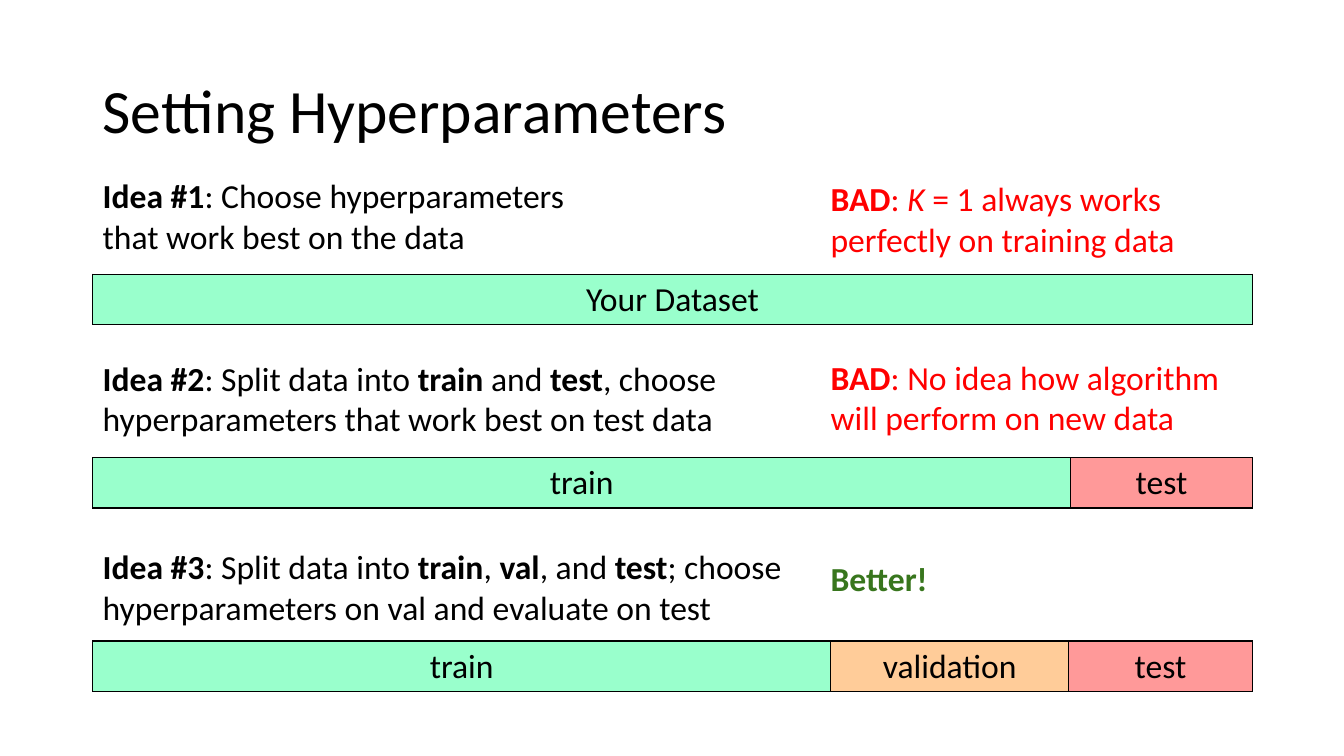
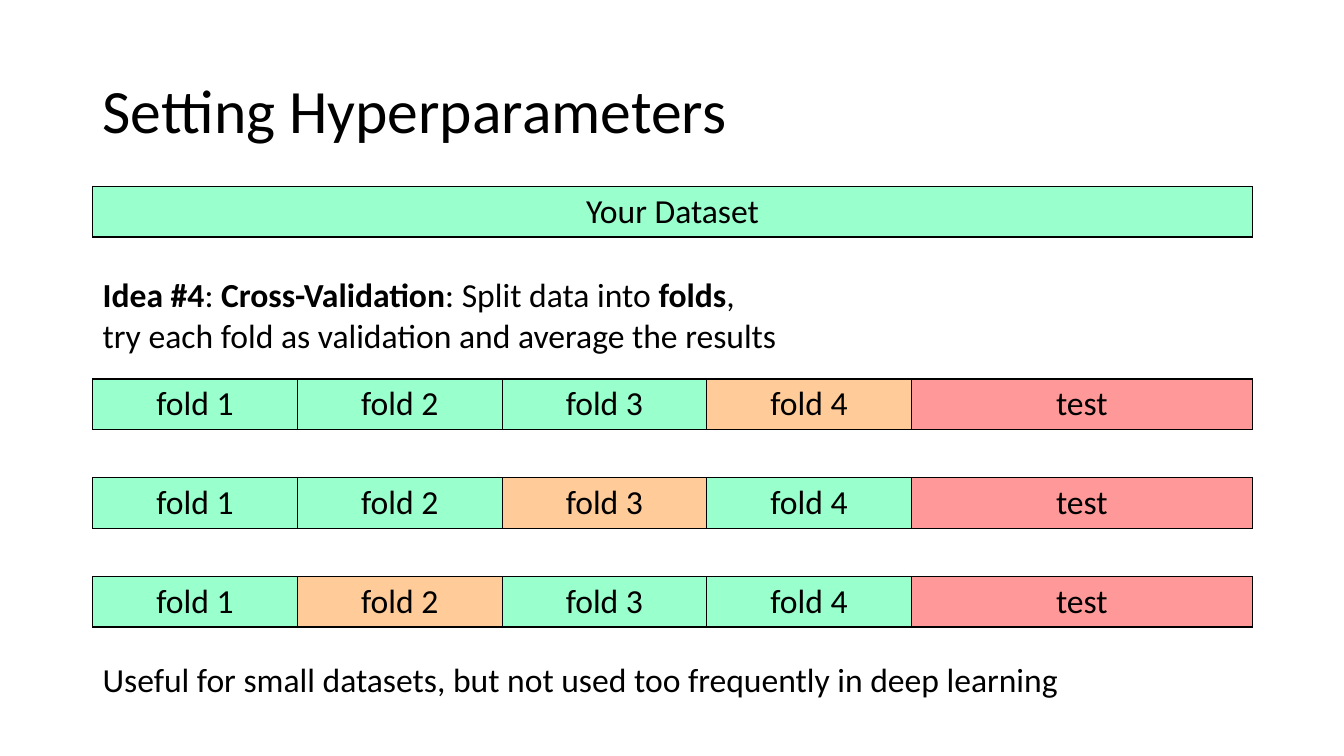
import dataclasses

import lxml.etree
import pptx
import pptx.dml.color
import pptx.enum.text
import pptx.oxml.ns
import pptx.util

Inches = pptx.util.Inches


@dataclasses.dataclass(frozen=True)
class Theme:
    font: str = "Calibri"
    title_size: int = 44
    body_size: int = 24
    ink: str = "000000"
    bad: str = "FF0000"
    good: str = "38761D"
    train: str = "99FFCC"
    validation: str = "FFCC99"
    test: str = "FF9999"
    border_width: int = 1


THEME = Theme()
LEFT, CONTENT_WIDTH = 0.92, 11.5
VERDICT_LEFT, VERDICT_WIDTH = 8.14, 4.06
BAR_HEIGHT = 0.5
FOLD_COUNT, FOLD_WIDTH = 4, 2.03
TITLE = "Setting Hyperparameters"


def rgb(value):
    return pptx.dml.color.RGBColor.from_string(value)


# Text: *stars* mark bold, _underscores_ mark italic, a newline starts a paragraph
def write_text(frame, text, size=THEME.body_size, color=THEME.ink,
               align=pptx.enum.text.PP_ALIGN.LEFT, line_spacing=None):
    for line_number, line in enumerate(text.split("\n")):
        paragraph = frame.paragraphs[0] if line_number == 0 else frame.add_paragraph()
        paragraph.alignment = align
        paragraph.line_spacing = line_spacing
        for bold_index, phrase in enumerate(line.split("*")):
            for italic_index, words in enumerate(phrase.split("_")):
                if not words:
                    continue
                run = paragraph.add_run()
                run.text = words
                run.font.name = THEME.font
                run.font.size = pptx.util.Pt(size)
                run.font.color.rgb = rgb(color)
                run.font.bold = bold_index % 2 == 1
                run.font.italic = italic_index % 2 == 1


def add_text(slide, text, left, top, width, height=0.91,
             anchor=pptx.enum.text.MSO_ANCHOR.TOP, wrap=True, **text_format):
    box = slide.shapes.add_textbox(Inches(left), Inches(top), Inches(width), Inches(height))
    box.text_frame.word_wrap = wrap
    box.text_frame.vertical_anchor = anchor
    write_text(box.text_frame, text, **text_format)


def set_borders(cell):
    properties = cell._tc.get_or_add_tcPr()
    qn = pptx.oxml.ns.qn
    for side in ("a:lnL", "a:lnR", "a:lnT", "a:lnB"):
        border = lxml.etree.SubElement(properties, qn(side),
                                       w=str(pptx.util.Pt(THEME.border_width)))
        fill = lxml.etree.SubElement(border, qn("a:solidFill"))
        lxml.etree.SubElement(fill, qn("a:srgbClr"), val=THEME.ink)


# A data bar is a one-row table; each part is (label, width, colour)
def add_data_bar(slide, top, parts):
    frame = slide.shapes.add_table(1, len(parts), Inches(LEFT), Inches(top),
                                   Inches(CONTENT_WIDTH), Inches(BAR_HEIGHT))
    bar = frame.table
    for column, (label, width, color) in enumerate(parts):
        bar.columns[column].width = Inches(width)
        cell = bar.cell(0, column)
        set_borders(cell)
        cell.fill.solid()
        cell.fill.fore_color.rgb = rgb(color)
        write_text(cell.text_frame, label, align=pptx.enum.text.PP_ALIGN.CENTER)


def add_dataset_bar(slide, top):
    add_data_bar(slide, top, [("Your Dataset", CONTENT_WIDTH, THEME.train)])


def add_fold_bar(slide, top, validation_fold):
    parts = [(f"fold {fold}", FOLD_WIDTH,
              THEME.validation if fold == validation_fold else THEME.train)
             for fold in range(1, FOLD_COUNT + 1)]
    parts.append(("test", CONTENT_WIDTH - FOLD_COUNT * FOLD_WIDTH, THEME.test))
    add_data_bar(slide, top, parts)


def add_titled_slide(deck):
    slide = deck.slides.add_slide(deck.slide_layouts[6])
    add_text(slide, TITLE, LEFT, 0.4, CONTENT_WIDTH, 1.45,
             anchor=pptx.enum.text.MSO_ANCHOR.MIDDLE,
             size=THEME.title_size, line_spacing=0.9)
    return slide


def build_ideas(deck):
    slide = add_titled_slide(deck)

    # Idea 1: everything in one set
    add_text(slide, "*Idea #1*: Choose hyperparameters\nthat work best on the data",
             LEFT, 1.69, 6.67)
    add_text(slide, "*BAD*: _K_ = 1 always works\nperfectly on training data",
             VERDICT_LEFT, 1.72, VERDICT_WIDTH, color=THEME.bad)
    add_dataset_bar(slide, 2.72)

    # Idea 2: train and test
    add_text(slide, "*Idea #2*: Split data into *train *and *test*, choose\n"
                    "hyperparameters that work best on test data", LEFT, 3.5, 6.67)
    add_text(slide, "*BAD*: No idea how algorithm\nwill perform on new data",
             VERDICT_LEFT, 3.49, VERDICT_WIDTH, color=THEME.bad)
    add_data_bar(slide, 4.54, [("train", 9.7, THEME.train), ("test", 1.8, THEME.test)])

    # Idea 3: train, validation and test
    add_text(slide, "*Idea #3*: Split data into *train*, *val*, and *test*; choose\n"
                    "hyperparameters on val and evaluate on test", LEFT, 5.37, 7.03)
    add_text(slide, "*Better!*", VERDICT_LEFT, 5.49, 1.19, 0.5, wrap=False, color=THEME.good)
    add_data_bar(slide, 6.36, [("train", 7.32, THEME.train),
                               ("validation", 2.36, THEME.validation),
                               ("test", 1.82, THEME.test)])


def build_cross_validation(deck):
    slide = add_titled_slide(deck)
    add_dataset_bar(slide, 1.85)
    add_text(slide, "*Idea #4*: *Cross-Validation*: Split data into *folds*,\n"
                    "try each fold as validation and average the results", LEFT, 2.67, 7.36)

    # The validation fold moves one step left in each row
    for row, validation_fold in enumerate((4, 3, 2)):
        add_fold_bar(slide, 3.76 + 0.98 * row, validation_fold)

    add_text(slide, "Useful for small datasets, but not used too frequently in deep learning",
             LEFT, 6.49, 11.63, 0.5)


def main():
    deck = pptx.Presentation()
    deck.slide_width, deck.slide_height = Inches(13.33), Inches(7.5)
    build_ideas(deck)
    build_cross_validation(deck)
    deck.save("out.pptx")


if __name__ == "__main__":
    main()
